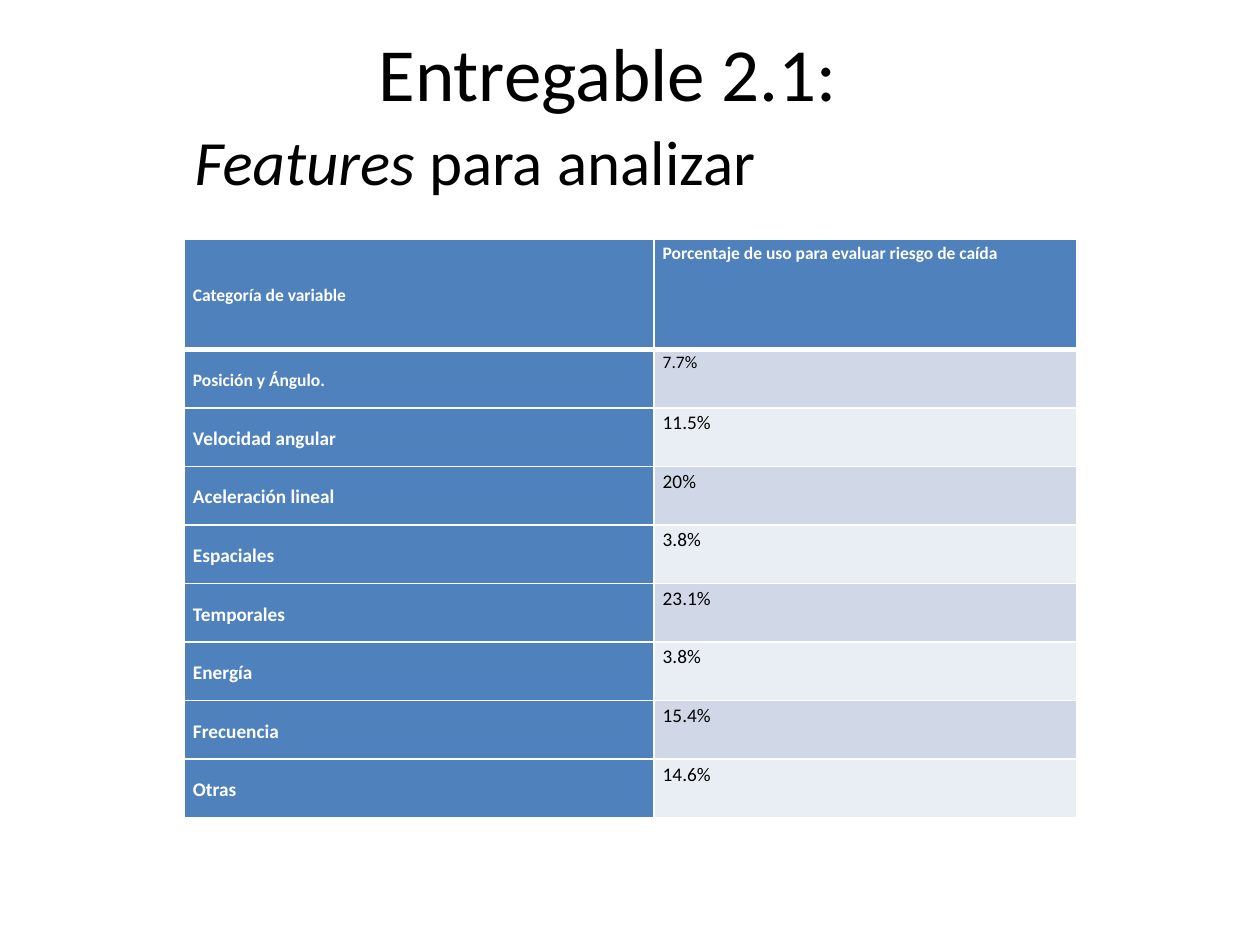
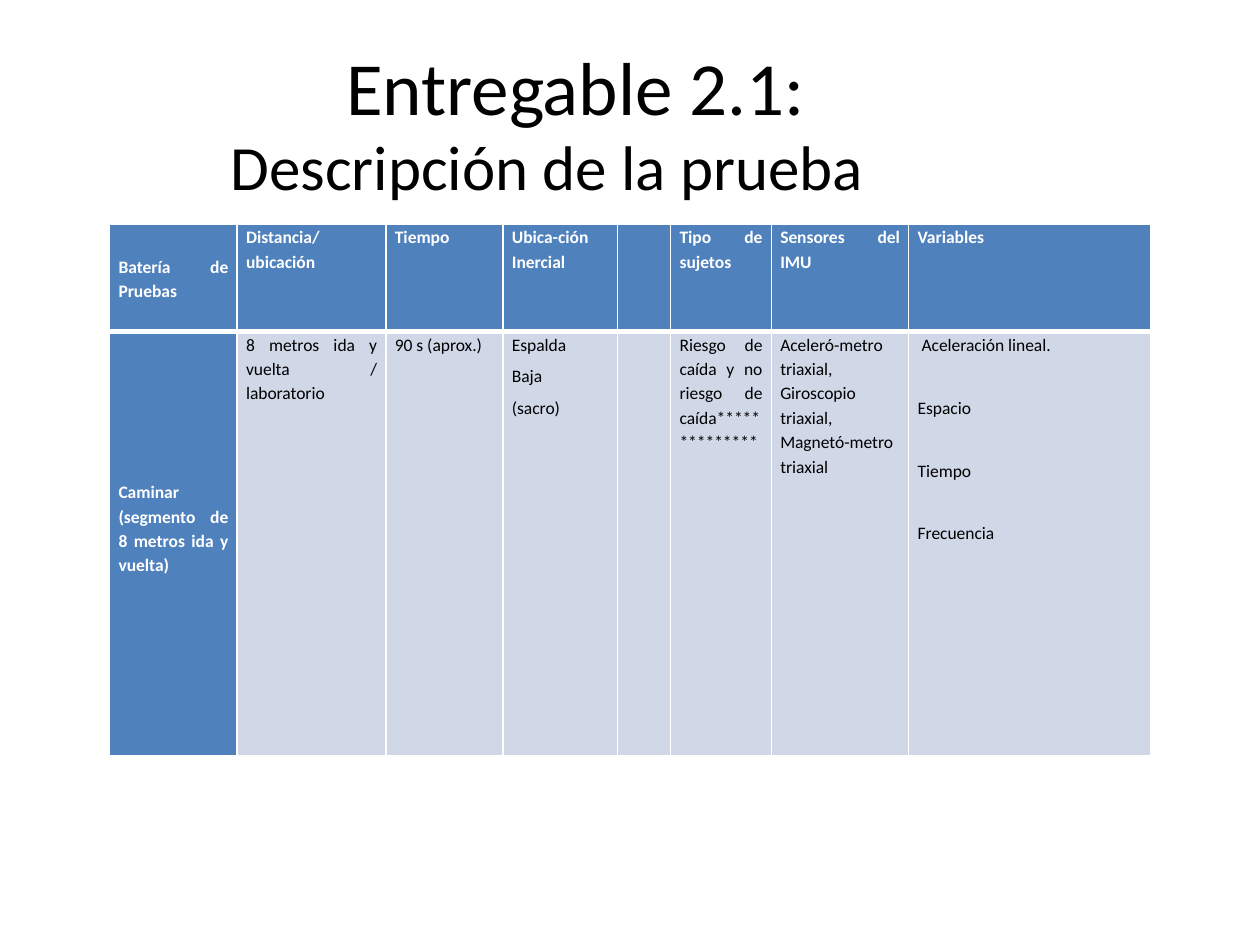
from pptx import Presentation
from pptx.dml.color import RGBColor
from pptx.enum.text import MSO_ANCHOR, PP_ALIGN
from pptx.util import Cm, Pt
from lxml.etree import SubElement
from pptx.oxml.ns import qn

COLORS = {"text": "000000", "white": "FFFFFF", "head": "4F81BD",
          "band_dark": "D0D8E8", "band_light": "E9EDF4"}
FONT = "Calibri"


def add_heading(s, runs, size, left, top, width, height):
    """Centred heading; runs are (text, italic) pairs."""
    tf = s.shapes.add_textbox(Cm(left), Cm(top), Cm(width), Cm(height)).text_frame
    tf.word_wrap = True
    tf.vertical_anchor = MSO_ANCHOR.MIDDLE
    p = tf.paragraphs[0]
    p.alignment = PP_ALIGN.CENTER
    p.font.name, p.font.size = FONT, Pt(size)
    p.font.color.rgb = RGBColor.from_string(COLORS["text"])
    for text, italic in runs:
        r = p.add_run()
        r.text = text
        if italic:
            r.font.italic = True


def add_grid(s, rows, left, top, widths, heights, sizes):
    """Table with blue first row and column, banded body and white rules."""
    tbl = s.shapes.add_table(len(rows), len(widths), Cm(left), Cm(top),
                             Cm(sum(widths)), Cm(sum(heights))).table
    for col, width in zip(tbl.columns, widths):
        col.width = Cm(width)
    for i, row in enumerate(rows):
        tbl.rows[i].height = Cm(heights[i])
        for j, text in enumerate(row):
            cell = tbl.cell(i, j)
            is_head = i == 0 or j == 0
            cell.margin_left = cell.margin_right = Cm(0.18)
            cell.margin_top = cell.margin_bottom = 0
            cell.vertical_anchor = MSO_ANCHOR.MIDDLE if j == 0 else MSO_ANCHOR.TOP

            # Borders: the rule under the header is thicker
            for side in "LRTB":
                thick = (i, side) in ((0, "B"), (1, "T"))
                ln = SubElement(cell._tc.get_or_add_tcPr(), qn(f"a:ln{side}"),
                                w=str(Pt(3 if thick else 1)))
                fill = SubElement(ln, qn("a:solidFill"))
                SubElement(fill, qn("a:srgbClr"), val=COLORS["white"])

            band = "head" if is_head else "band_dark" if i % 2 else "band_light"
            cell.fill.solid()
            cell.fill.fore_color.rgb = RGBColor.from_string(COLORS[band])

            cell.text = text
            for p in cell.text_frame.paragraphs:
                p.alignment = PP_ALIGN.JUSTIFY
                p.line_spacing = 1.15
                p.space_before = p.space_after = Pt(2 if sizes[i] == 10 else 0)
                p.font.name, p.font.size, p.font.bold = FONT, Pt(sizes[i]), is_head
                p.font.color.rgb = RGBColor.from_string(
                    COLORS["white" if is_head else "text"])
    return tbl


prs = Presentation()
prs.slide_width, prs.slide_height = Cm(25.4), Cm(19.05)
blank = prs.slide_layouts[6]
deliverable = [("Entregable 2.1:", False)]

# Slide 1: features to analyse
s = prs.slides.add_slide(blank)
add_heading(s, [("Features", True), (" para analizar", False)], 36,
            -0.25, 2.13, 19.66, 2.21)
feature_rows = [
    ("Categoría de variable", "Porcentaje de uso para evaluar riesgo de caída"),
    ("Posición y Ángulo.", "7.7%"),
    ("Velocidad angular", "11.5%"),
    ("Aceleración lineal", "20%"),
    ("Espaciales", "3.8%"),
    ("Temporales", "23.1%"),
    ("Energía", "3.8%"),
    ("Frecuencia", "15.4%"),
    ("Otras", "14.6%"),
]
add_grid(s, feature_rows, 3.71, 4.83, [9.47, 8.53],
         [2.21] + [1.18] * 8, [10, 10] + [11] * 7)
add_heading(s, deliverable, 42.9, 0, 0.33, 24.51, 2.21)

# Slide 2: description of the test
s = prs.slides.add_slide(blank)
add_heading(s, [("Descripción de la prueba", False)], 36, 4.09, 2.34, 13.87, 1.98)
test_rows = [
    ("Batería de Pruebas", "Distancia/ ubicación", "Tiempo", "Ubica-ción Inercial",
     "", "Tipo de sujetos", "Sensores del IMU", "Variables"),
    ("Caminar (segmento de 8 metros ida y vuelta)",
     "8 metros ida y vuelta / laboratorio", "90 s (aprox.)",
     "Espalda\nBaja\n(sacro)", "",
     "Riesgo de caída y no riesgo de caída**************",
     "Aceleró-metro triaxial, Giroscopio triaxial, Magnetó-metro triaxial",
     " Aceleración lineal.\nEspacio\nTiempo\nFrecuencia"),
]
tbl = add_grid(s, test_rows, 2.21, 4.52,
               [2.57, 3, 2.36, 2.31, 1.07, 2.03, 2.77, 4.88], [2.16, 8.56], [10, 10])
tbl.cell(1, 0).margin_bottom = Cm(0.64)
for p in tbl.cell(1, 7).text_frame.paragraphs[1:]:
    p.space_before = Pt(20)
add_heading(s, deliverable, 42.9, -1.3, 0.33, 25.81, 2.79)

prs.save("out.pptx")
